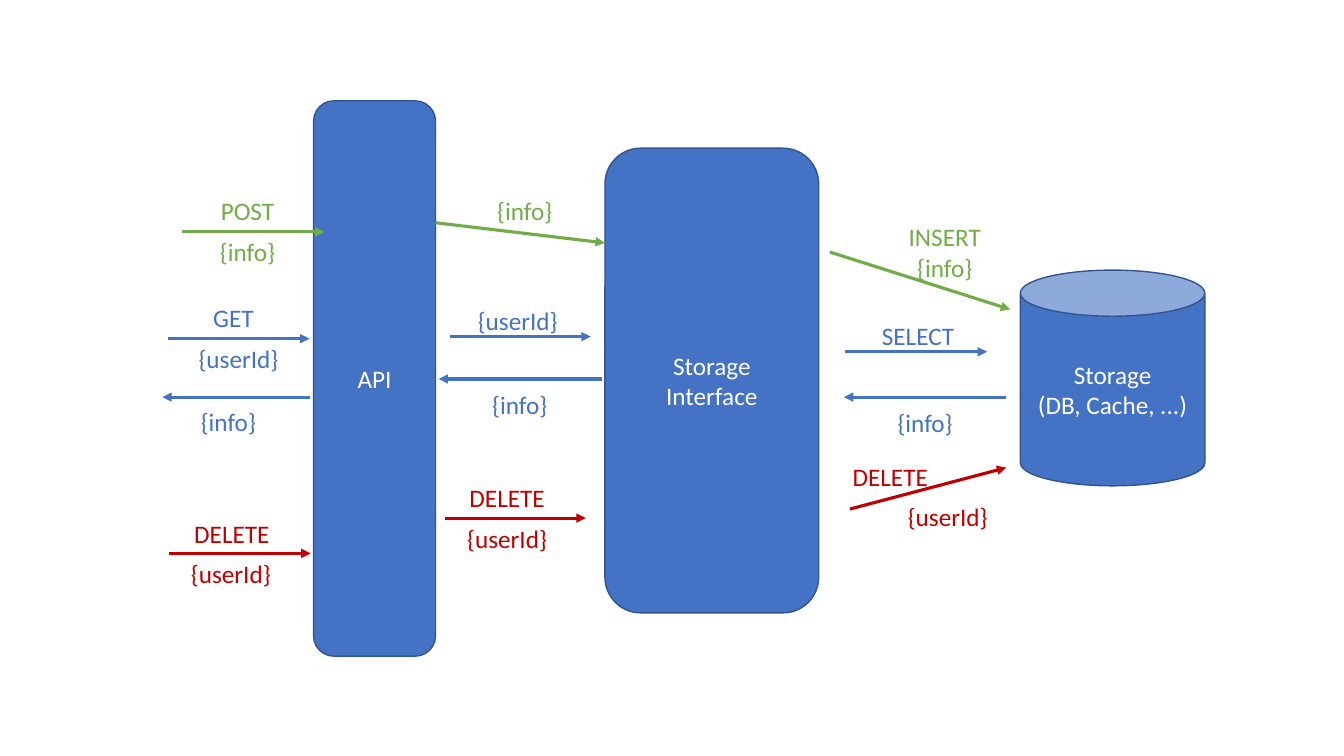
from dataclasses import dataclass

from lxml.etree import SubElement
from pptx import Presentation
from pptx.dml.color import RGBColor
from pptx.enum.shapes import MSO_CONNECTOR as Connector, MSO_SHAPE as Preset
from pptx.enum.text import MSO_ANCHOR as Anchor, MSO_AUTO_SIZE as AutoSize, PP_ALIGN as Align
from pptx.oxml.ns import qn
from pptx.util import Inches, Pt


@dataclass(frozen=True)
class Theme:
    font: str = "Calibri"
    size: int = 18
    on_block: str = "FFFFFF"
    block: str = "4472C4"
    outline: str = "325491"
    create: str = "70AD47"
    read: str = "4472C4"
    remove: str = "C00000"
    outline_width: float = 1
    arrow_width: float = 2.25


THEME = Theme()
LINE_HEIGHT = 0.31
LABEL_HEIGHT = 0.4
LABEL_INSET = 0.05

COMPONENTS = [
    ("API", Preset.ROUNDED_RECTANGLE, (3.11, 1, 1.21, 5.51)),
    ("Storage Interface", Preset.ROUNDED_RECTANGLE, (6, 1.47, 2.12, 4.61)),
    ("Storage\n(DB, Cache, ...)", Preset.CAN, (10.12, 2.68, 1.83, 2.14)),
]

# color, start, end, labels as (text, left, top, width)
CALLS = [
    (THEME.remove, (1.68, 5.49), (3.08, 5.49),
     [("DELETE", 1.75, 5.09, 1.1), ("{userId}", 1.79, 5.49, 1)]),
    (THEME.read, (4.46, 3.34), (5.86, 3.34), [("{userId}", 4.64, 2.98, 0.99)]),
    (THEME.create, (4.32, 2.21), (6, 2.41), [("{info}", 4.76, 1.89, 0.89)]),
    (THEME.create, (1.81, 2.3), (3.22, 2.3),
     [("POST", 2.01, 1.89, 0.89), ("{info}", 2.01, 2.3, 0.89)]),
    (THEME.create, (8.23, 2.5), (10.02, 3.07), [("INSERT {info}", 8.87, 2.15, 1)]),
    (THEME.read, (1.67, 3.36), (3.07, 3.36),
     [("GET", 1.87, 2.95, 0.89), ("{userId}", 1.87, 3.36, 0.99)]),
    (THEME.read, (8.38, 3.49), (9.79, 3.49), [("SELECT", 8.21, 3.13, 1.79)]),
    (THEME.read, (3.07, 3.94), (1.61, 3.94), [("{info}", 1.69, 3.98, 1.15)]),
    (THEME.read, (5.97, 3.76), (4.35, 3.76), [("{info}", 4.58, 3.81, 1.15)]),
    (THEME.read, (9.98, 3.94), (8.37, 3.94), [("{info}", 8.6, 3.99, 1.15)]),
    (THEME.remove, (4.41, 5.14), (5.81, 5.14),
     [("DELETE", 4.48, 4.74, 1.1), ("{userId}", 4.53, 5.14, 1)]),
    (THEME.remove, (8.43, 5.05), (9.98, 4.64),
     [("DELETE", 8.28, 4.53, 1.1), ("{userId}", 8.9, 4.92, 1)]),
]


def write(frame, text, *, color, anchor=Anchor.TOP, auto_size=AutoSize.NONE):
    frame.word_wrap = True
    frame.auto_size = auto_size
    frame.vertical_anchor = anchor
    paragraph = frame.paragraphs[0]
    paragraph.text = text.replace("\n", "\v")
    paragraph.alignment = Align.CENTER
    for run in paragraph.runs:
        run.font.name = THEME.font
        run.font.size = Pt(THEME.size)
        run.font.color.rgb = RGBColor.from_string(color)


def add_component(shapes, name, preset, place):
    component = shapes.add_shape(preset, *map(Inches, place))
    component.shadow.inherit = False
    component.fill.solid()
    component.fill.fore_color.rgb = RGBColor.from_string(THEME.block)
    component.line.color.rgb = RGBColor.from_string(THEME.outline)
    component.line.width = Pt(THEME.outline_width)
    write(component.text_frame, name, color=THEME.on_block, anchor=Anchor.MIDDLE)


def add_arrow(shapes, start, end, color):
    arrow = shapes.add_connector(Connector.STRAIGHT, *map(Inches, start + end))
    arrow.line.color.rgb = RGBColor.from_string(color)
    arrow.line.width = Pt(THEME.arrow_width)
    SubElement(arrow.line._get_or_add_ln(), qn("a:tailEnd"), type="triangle")
    SubElement(arrow._element.spPr, qn("a:effectLst"))


def add_label(shapes, text, left, top, width, color):
    height = LABEL_HEIGHT + LINE_HEIGHT * text.count(" ")
    label = shapes.add_textbox(*map(Inches, (left, top, width, height)))
    label.text_frame.margin_left = label.text_frame.margin_right = Inches(LABEL_INSET)
    write(label.text_frame, text, color=color, auto_size=AutoSize.SHAPE_TO_FIT_TEXT)


def main():
    deck = Presentation()
    deck.slide_width, deck.slide_height = Inches(13.33), Inches(7.5)
    slide = deck.slides.add_slide(deck.slide_layouts[6])
    for component in COMPONENTS:
        add_component(slide.shapes, *component)
    for color, start, end, labels in CALLS:
        call = slide.shapes.add_group_shape()
        add_arrow(call.shapes, start, end, color)
        for label in labels:
            add_label(call.shapes, *label, color)
    deck.save("out.pptx")


if __name__ == "__main__":
    main()
